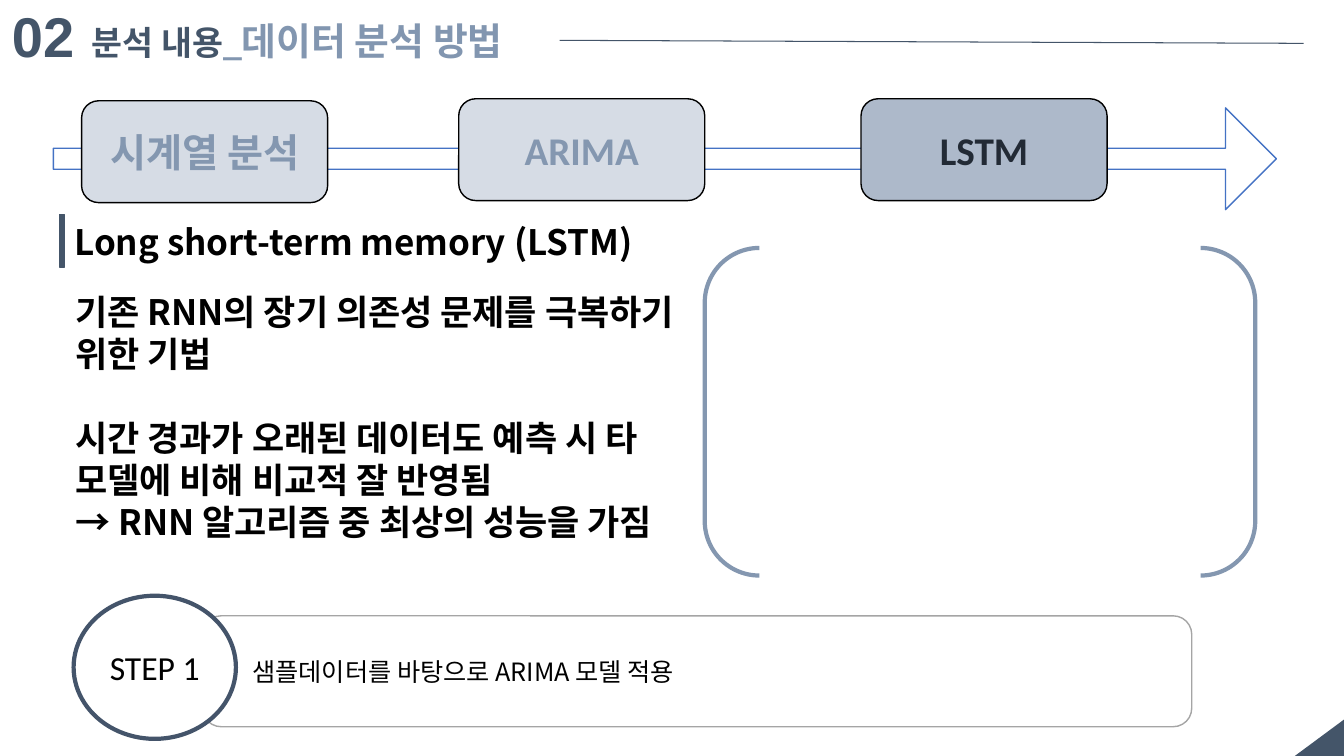
from dataclasses import dataclass

from lxml import etree
from pptx import Presentation
from pptx import util as u
from pptx.dml.color import RGBColor
from pptx.enum import shapes, text
from pptx.oxml import ns

PX = 9144
KIND = shapes.MSO_SHAPE
ALIGN = text.PP_ALIGN
ANCHOR = text.MSO_ANCHOR


@dataclass(frozen=True)
class Theme:
    navy: str = "445569"
    ring: str = "44546A"
    steel: str = "8497B0"
    subtitle: str = "8296B0"
    pale: str = "D6DCE5"
    active: str = "ADB9CA"
    ink: str = "222A35"
    arrow: str = "4472C4"
    grey: str = "A5A5A5"
    black: str = "000000"
    white: str = "FFFFFF"
    latin: str = "Calibri"
    number_font: str = "Arial"
    korean: str = "Noto Sans CJK KR"
    number_size: int = 40
    stage_size: int = 28
    subtitle_size: int = 27
    body_size: int = 25
    title_size: int = 24
    detail_size: int = 18


THEME = Theme()


@dataclass(frozen=True)
class Box:
    left: int
    top: int
    width: int
    height: int

    def emu(self) -> tuple[int, ...]:
        return tuple(v * PX for v in (self.left, self.top, self.width, self.height))


@dataclass(frozen=True)
class Style:
    size: int
    color: str
    font: str
    bold: bool = False


@dataclass(frozen=True)
class Paragraph:
    words: str
    gap: int = 0


@dataclass(frozen=True)
class Stage:
    words: str
    left: int
    top: int
    fill: str
    color: str


STAGES = (
    Stage("ARIMA", 455, 98, THEME.pale, THEME.steel),
    Stage("LSTM", 854, 98, THEME.active, THEME.ink),
    Stage("시계열 분석", 81, 100, THEME.pale, THEME.steel),
)
BODY = (
    Paragraph("기존 RNN의 장기 의존성 문제를 극복하기 위한 기법"),
    Paragraph("시간 경과가 오래된 데이터도 예측 시 타 모델에 비해 비교적 잘 반영됨", 30),
    Paragraph("→ RNN 알고리즘 중 최상의 성능을 가짐"),
)


def format_run(run, style: Style) -> None:
    run.font.size = u.Pt(style.size)
    run.font.bold = style.bold
    run.font.name = style.font
    run.font.color.rgb = RGBColor.from_string(style.color)
    east_asian = etree.Element(ns.qn("a:ea"), typeface=THEME.korean)
    run.font._element.find(ns.qn("a:latin")).addnext(east_asian)


def prepare_frame(text_frame, anchor, left: int = 10, top: int = 5) -> None:
    text_frame.word_wrap = True
    text_frame.auto_size = text.MSO_AUTO_SIZE.NONE
    text_frame.vertical_anchor = anchor
    text_frame.margin_left, text_frame.margin_right = left * PX, 10 * PX
    text_frame.margin_top, text_frame.margin_bottom = top * PX, 5 * PX


def add_shape(slide, kind, box: Box, fill: str, line: str = "", weight: float = 1):
    shape = slide.shapes.add_shape(kind, *box.emu())
    shape.shadow.inherit = False
    shape.fill.solid()
    shape.fill.fore_color.rgb = RGBColor.from_string(fill)
    if line:
        shape.line.color.rgb = RGBColor.from_string(line)
        shape.line.width = u.Pt(weight)
    else:
        shape.line.fill.background()
    return shape


def add_label(shape, words: str, style: Style, align=ALIGN.CENTER, left: int = 10) -> None:
    prepare_frame(shape.text_frame, ANCHOR.MIDDLE, left)
    shape.text_frame.text = words
    paragraph = shape.text_frame.paragraphs[0]
    paragraph.alignment = align
    format_run(paragraph.runs[0], style)


def add_text(slide, box: Box, paragraphs: tuple[Paragraph, ...], style: Style,
             spacing: int = 0, top: int = 5) -> None:
    text_frame = slide.shapes.add_textbox(*box.emu()).text_frame
    prepare_frame(text_frame, ANCHOR.TOP, top=top)
    text_frame.text = "\n".join(item.words for item in paragraphs)
    for paragraph, item in zip(text_frame.paragraphs, paragraphs):
        paragraph.space_before = u.Pt(item.gap)
        if spacing:
            paragraph.line_spacing = u.Pt(spacing)
        format_run(paragraph.runs[0], style)


def add_title(slide) -> None:
    title = slide.shapes.title
    title.left, title.top, title.width, title.height = Box(81, 12, 475, 56).emu()
    prepare_frame(title.text_frame, ANCHOR.TOP)
    title.text_frame.text = "분석 내용"
    paragraph = title.text_frame.paragraphs[0]
    paragraph.alignment = ALIGN.LEFT
    paragraph.line_spacing = u.Pt(33)
    format_run(paragraph.runs[0], Style(THEME.title_size, THEME.navy, THEME.latin, True))
    subtitle = paragraph.add_run()
    subtitle.text = "_데이터 분석 방법"
    format_run(subtitle, Style(THEME.subtitle_size, THEME.subtitle, THEME.latin, True))


def add_header_rule(slide) -> None:
    rule = slide.shapes.add_connector(
        shapes.MSO_CONNECTOR.STRAIGHT, 555 * PX, 40 * PX, 1293 * PX, 43 * PX)
    rule.line.color.rgb = RGBColor.from_string(THEME.navy)
    rule.line.width = u.Pt(0.75)
    etree.SubElement(rule._element.spPr, ns.qn("a:effectLst"))


def add_timeline(slide) -> None:
    arrow = add_shape(slide, KIND.RIGHT_ARROW, Box(53, 107, 1213, 101),
                      THEME.white, THEME.arrow)
    arrow.adjustments[0] = 0.207
    for stage in STAGES:
        shape = add_shape(slide, KIND.ROUNDED_RECTANGLE,
                          Box(stage.left, stage.top, 244, 101), stage.fill, THEME.black)
        add_label(shape, stage.words,
                  Style(THEME.stage_size, stage.color, THEME.latin, True))


def add_step(slide) -> None:
    panel = add_shape(slide, KIND.ROUNDED_RECTANGLE, Box(201, 611, 981, 110),
                      THEME.white, THEME.grey)
    add_label(panel, "샘플데이터를 바탕으로 ARIMA 모델 적용",
              Style(THEME.detail_size, THEME.black, THEME.korean), ALIGN.LEFT, 44)
    badge = add_shape(slide, KIND.OVAL, Box(73, 591, 161, 142), THEME.white, THEME.ring, 3)
    add_label(badge, "STEP 1", Style(THEME.title_size, THEME.black, THEME.latin))


def main() -> None:
    presentation = Presentation()
    presentation.slide_width, presentation.slide_height = 1333 * PX, 750 * PX
    slide = presentation.slides.add_slide(presentation.slide_layouts[5])
    add_title(slide)
    corner = add_shape(slide, KIND.RIGHT_TRIANGLE, Box(1290, 707, 37, 50), THEME.navy)
    corner.rotation = 270
    add_shape(slide, KIND.DOUBLE_BRACKET, Box(699, 246, 546, 325),
              THEME.white, THEME.steel, 3)
    add_text(slide, Box(2, -3, 127, 77), (Paragraph("02"),),
             Style(THEME.number_size, THEME.navy, THEME.number_font, True))
    add_header_rule(slide)
    add_timeline(slide)
    body_style = Style(THEME.body_size, THEME.black, THEME.korean, True)
    add_text(slide, Box(65, 241, 635, 347), BODY, body_style, 30, 47)
    add_shape(slide, KIND.RECTANGLE, Box(59, 213, 5, 52), THEME.navy, THEME.navy)
    add_text(slide, Box(64, 214, 612, 52),
             (Paragraph("Long short-term memory (LSTM)"),), body_style, 30)
    add_step(slide)
    presentation.save("out.pptx")


if __name__ == "__main__":
    main()
